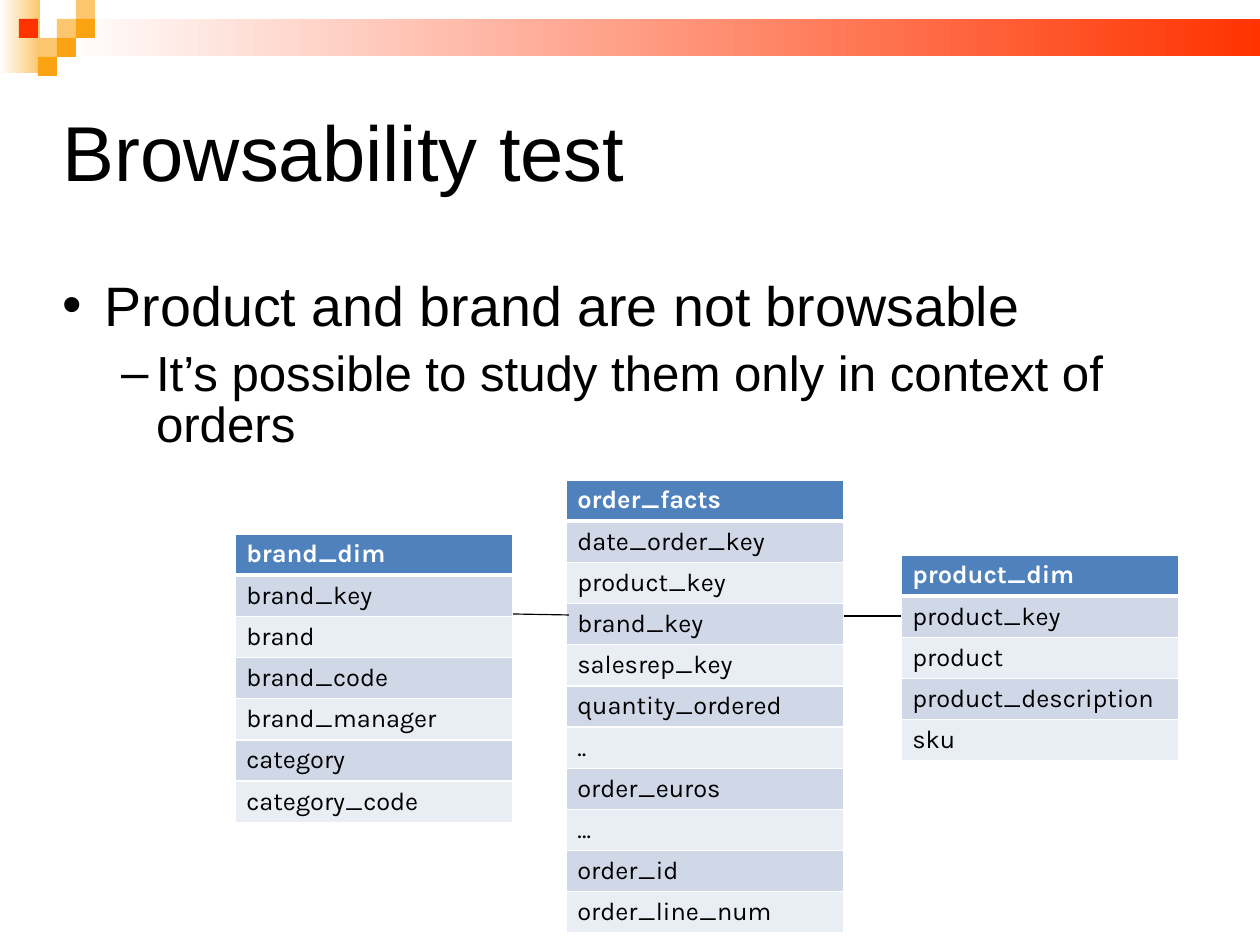
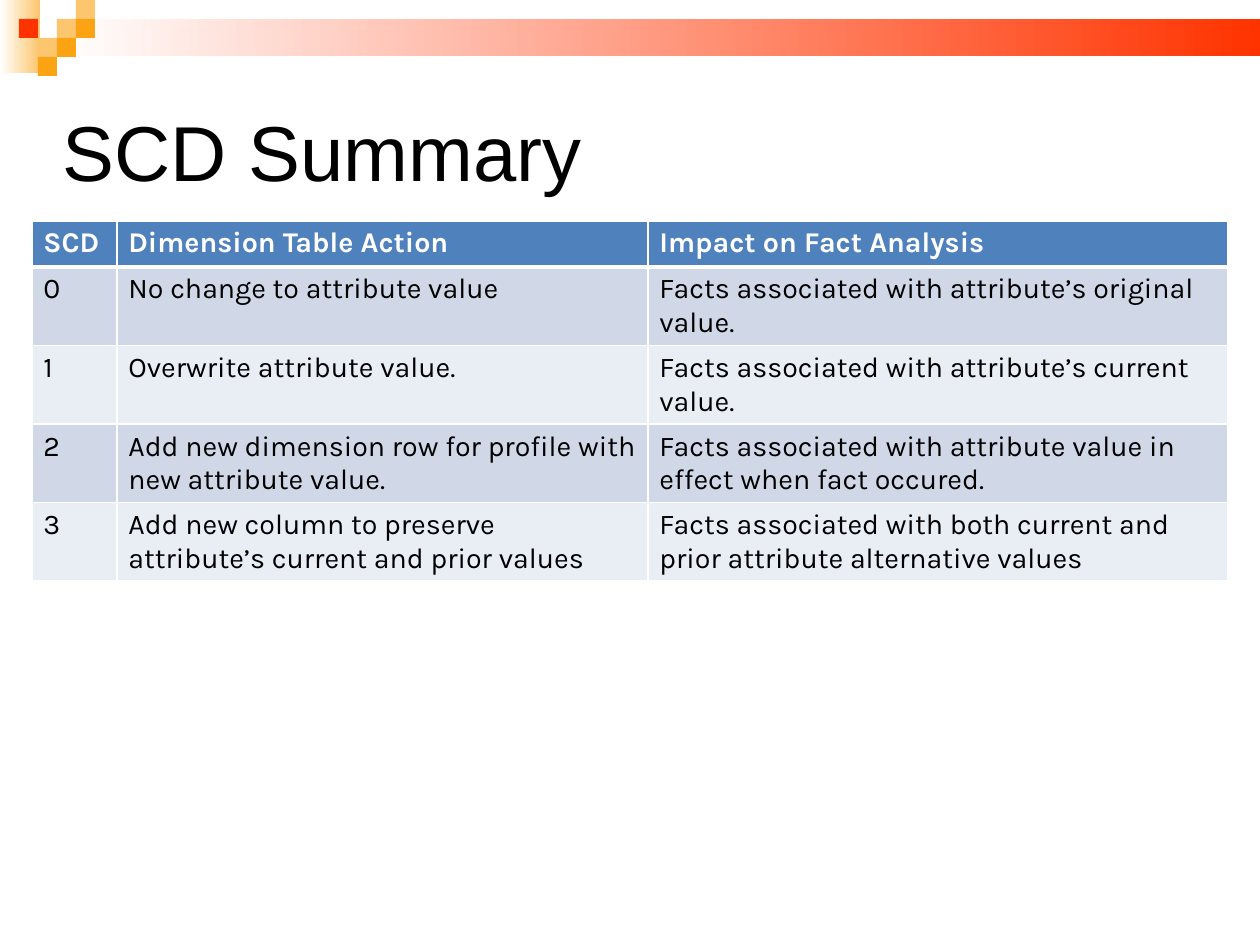
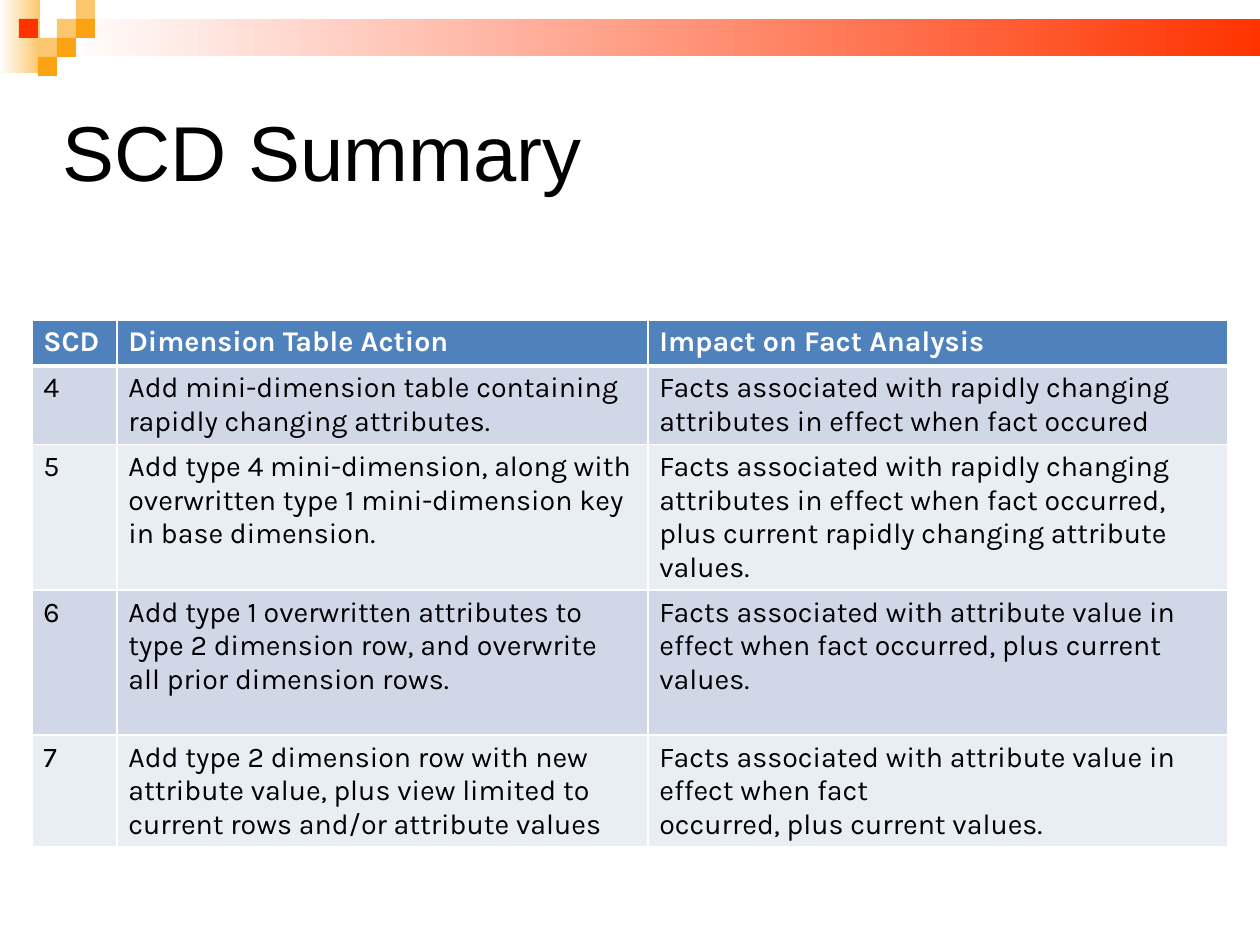
from dataclasses import dataclass

from pptx import Presentation
from pptx.dml.color import RGBColor
from pptx.enum.shapes import MSO_CONNECTOR, MSO_SHAPE
from pptx.enum.text import MSO_ANCHOR, MSO_AUTO_SIZE, PP_ALIGN
from pptx.oxml.ns import qn
from pptx.util import Emu, Pt
from lxml.etree import SubElement


@dataclass(frozen=True)
class Theme:
    black: str = "000000"
    white: str = "FFFFFF"
    red: str = "FF3300"
    orange: str = "FBA313"
    sand: str = "FCC66E"
    header: str = "4F81BD"
    bands: tuple = ("D0D8E8", "E9EDF4")
    text_font: str = "Arial"
    table_font: str = "Karla"
    title_size: int = 49
    body_sizes: tuple = (35, 31)
    schema_size: int = 16
    summary_size: int = 18
    line_spacing: float = 0.87


THEME = Theme()
PX = 8000  # EMU
PAGE_SIZE = (1260, 945)
TITLE_BOX = (63, 63, 1134, 189)
BODY_BOX = (63, 273, 1134, 535)

# Corner mosaic: column, row, colour
TILE = 19
TILES = [
    (3, 1, THEME.sand), (4, 0, THEME.sand), (4, 1, THEME.orange),
    (2, 2, THEME.sand), (1, 1, THEME.red), (3, 2, THEME.orange),
    (2, 3, THEME.orange),
]
FADES = [((0, 0, 40, 73), THEME.sand), ((57, 19, 1203, 37), THEME.red)]

BROWSE_TITLE = "Browsability test"
# Text, left margin, hanging indent, space before in points
BROWSE_POINTS = [
    ("Product and brand are not browsable", 42, 42, 8.8),
    ("It’s possible to study them only in context of orders", 93, 35, 7.8),
]
SCHEMA_WIDTH = 278
SCHEMA_ROW = 41
SCHEMAS = [
    (901, 555, ["product_dim", "product_key", "product",
                "product_description", "sku"]),
    (235, 534, ["brand_dim", "brand_key", "brand", "brand_code",
                "brand_manager", "category", "category_code"]),
    (566, 480, ["order_facts", "date_order_key", "product_key", "brand_key",
                "salesrep_key", "quantity_ordered", "..", "order_euros", "…",
                "order_id", "order_line_num"]),
]
JOINS = [(844, 616, 901, 616), (513, 614, 569, 615)]

SUMMARY_TITLE = "SCD Summary"
SUMMARY_LEFT = 32
SUMMARY_COLUMNS = [85, 531, 580]
SUMMARY_HEADER = ("SCD", "Dimension Table Action", "Impact on Fact Analysis")
# Top, row heights, rows
SUMMARIES = [
    (221, [46, 78, 78, 78, 78], [
        ("0", "No change to attribute value",
         "Facts associated with attribute’s original value."),
        ("1", "Overwrite attribute value.",
         "Facts associated with attribute’s current value."),
        ("2", "Add new dimension row for profile with new attribute value.",
         "Facts associated with attribute value in effect when fact occured."),
        ("3", "Add new column to preserve attribute’s current and prior values",
         "Facts associated with both current and prior attribute alternative values"),
    ]),
    (320, [46, 78, 145, 145, 111], [
        ("4", "Add mini-dimension table containing rapidly changing attributes.",
         "Facts associated with rapidly changing attributes in effect when fact occured"),
        ("5", "Add type 4 mini-dimension, along with\n"
              "overwritten type 1 mini-dimension key\nin base dimension.",
         "Facts associated with rapidly changing attributes in effect when fact "
         "occurred, plus current rapidly changing attribute values."),
        ("6", "Add type 1 overwritten attributes to\n"
              "type 2 dimension row, and overwrite\nall prior dimension rows.",
         "Facts associated with attribute value in effect when fact occurred, "
         "plus current values."),
        ("7", "Add type 2 dimension row with new\n"
              "attribute value, plus view limited to\n"
              "current rows and/or attribute values",
         "Facts associated with attribute value in effect when fact\n"
         "occurred, plus current values."),
    ]),
]


def px(*lengths):
    return [Emu(length * PX) for length in lengths]


def rgb(code):
    return RGBColor.from_string(code)


def add_span(para, text, size, font, color=THEME.black, bold=False):
    span = para.add_run()
    span.text = text
    span.font.size = Pt(size)
    span.font.name = font
    span.font.bold = bold
    span.font.color.rgb = rgb(color)


def add_paragraphs(frame, lines):
    """Yield each line with its paragraph, the first being already there."""
    for index, line in enumerate(lines):
        yield line, frame.add_paragraph() if index else frame.paragraphs[0]


def add_rectangle(group, box):
    shape = group.shapes.add_shape(MSO_SHAPE.RECTANGLE, *px(*box))
    shape.shadow.inherit = False
    shape.line.fill.background()
    return shape


def decorate_master(master, page):
    """Draw the band and mosaic on a page, then move them to the master."""
    group = page.shapes.add_group_shape()
    for box, color in FADES:
        fill = add_rectangle(group, box).fill
        fill.gradient()
        fill.gradient_angle = 180
        for stop, code in zip(fill.gradient_stops, (color, THEME.white)):
            stop.color.rgb = rgb(code)
    for column, row, color in TILES:
        fill = add_rectangle(group, (column * TILE, row * TILE, TILE, TILE)).fill
        fill.solid()
        fill.fore_color.rgb = rgb(color)
    for number, node in enumerate(group._element.iter(qn("p:cNvPr")), 100):
        node.set("id", str(number))
    master.shapes._spTree.insert(2, group._element)


def place_master_text(master):
    title, body = list(master.placeholders)[:2]
    for holder, box, top, anchor in (
        (title, TITLE_BOX, 0, MSO_ANCHOR.MIDDLE),
        (body, BODY_BOX, 7, MSO_ANCHOR.TOP),
    ):
        holder.left, holder.top, holder.width, holder.height = px(*box)
        frame = holder.text_frame
        frame.auto_size = MSO_AUTO_SIZE.NONE
        frame.vertical_anchor = anchor
        frame.margin_left = frame.margin_right = frame.margin_bottom = 0
        frame.margin_top = px(top)[0]


def add_page(deck, layout_name, title):
    page = deck.slides.add_slide(deck.slide_layouts.get_by_name(layout_name))
    para = page.shapes.title.text_frame.paragraphs[0]
    para.alignment = PP_ALIGN.LEFT
    para.line_spacing = THEME.line_spacing
    add_span(para, title, THEME.title_size, THEME.text_font)
    return page


def set_borders(cell, top, bottom):
    properties = cell._tc.get_or_add_tcPr()
    for side, points in (("L", 1), ("R", 1), ("T", top), ("B", bottom)):
        line = SubElement(properties, qn(f"a:ln{side}"), w=str(Pt(points)))
        fill = SubElement(line, qn("a:solidFill"))
        SubElement(fill, qn("a:srgbClr"), val=THEME.white)


def add_banded_table(page, left, top, widths, heights, rows, size):
    box = px(left, top, sum(widths), sum(heights))
    table = page.shapes.add_table(len(rows), len(widths), *box).table
    table.horz_banding = False
    for column, width in zip(table.columns, px(*widths)):
        column.width = width
    for index, (row, height, texts) in enumerate(
            zip(table.rows, px(*heights), rows)):
        row.height = height
        heading = index == 0
        color = THEME.white if heading else THEME.black
        band = THEME.header if heading else THEME.bands[(index - 1) % 2]
        for cell, text in zip(row.cells, texts):
            set_borders(cell, 3 if index == 1 else 1, 3 if heading else 1)
            cell.fill.solid()
            cell.fill.fore_color.rgb = rgb(band)
            for line, para in add_paragraphs(cell.text_frame, text.split("\n")):
                add_span(para, line, size, THEME.table_font, color, heading)


def add_points(page):
    frame = page.placeholders[1].text_frame
    for level, (point, para) in enumerate(add_paragraphs(frame, BROWSE_POINTS)):
        text, margin, hanging, before = point
        para.level = level
        para.line_spacing = THEME.line_spacing
        para.space_before = Pt(before)
        properties = para._p.get_or_add_pPr()
        properties.set("marL", str(margin * PX))
        properties.set("indent", str(-hanging * PX))
        add_span(para, text, THEME.body_sizes[level], THEME.text_font)


def add_join(page, ends):
    join = page.shapes.add_connector(MSO_CONNECTOR.STRAIGHT, *px(*ends))
    join.line.color.rgb = rgb(THEME.black)
    join.line.width = Pt(0.75)
    SubElement(join._element.spPr, qn("a:effectLst"))


def main():
    deck = Presentation()
    deck.slide_width, deck.slide_height = px(*PAGE_SIZE)
    place_master_text(deck.slide_master)

    page = add_page(deck, "Title and Content", BROWSE_TITLE)
    decorate_master(deck.slide_master, page)
    add_points(page)
    for left, top, names in SCHEMAS:
        add_banded_table(page, left, top, [SCHEMA_WIDTH],
                         [SCHEMA_ROW] * len(names),
                         [(name,) for name in names], THEME.schema_size)
    for ends in JOINS:
        add_join(page, ends)

    for top, heights, rows in SUMMARIES:
        page = add_page(deck, "Title Only", SUMMARY_TITLE)
        add_banded_table(page, SUMMARY_LEFT, top, SUMMARY_COLUMNS, heights,
                         [SUMMARY_HEADER] + rows, THEME.summary_size)
    deck.save("out.pptx")


if __name__ == "__main__":
    main()
